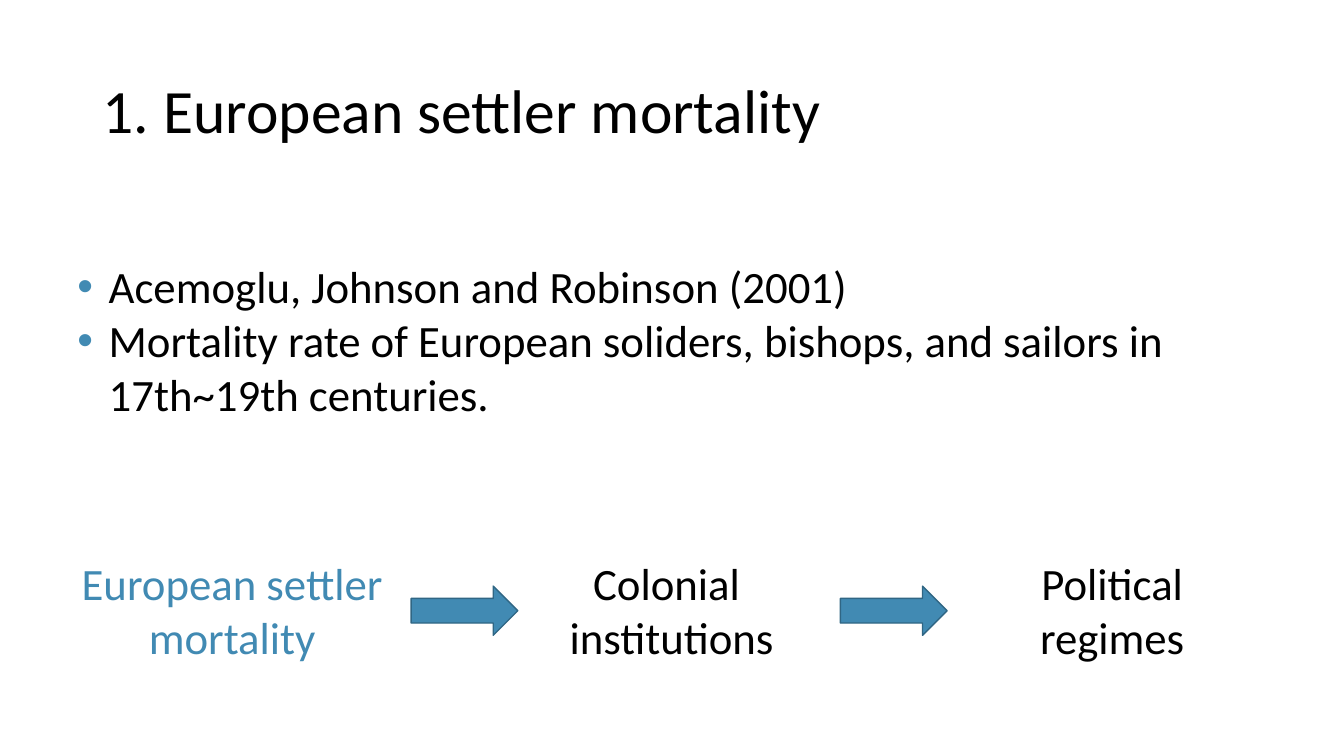
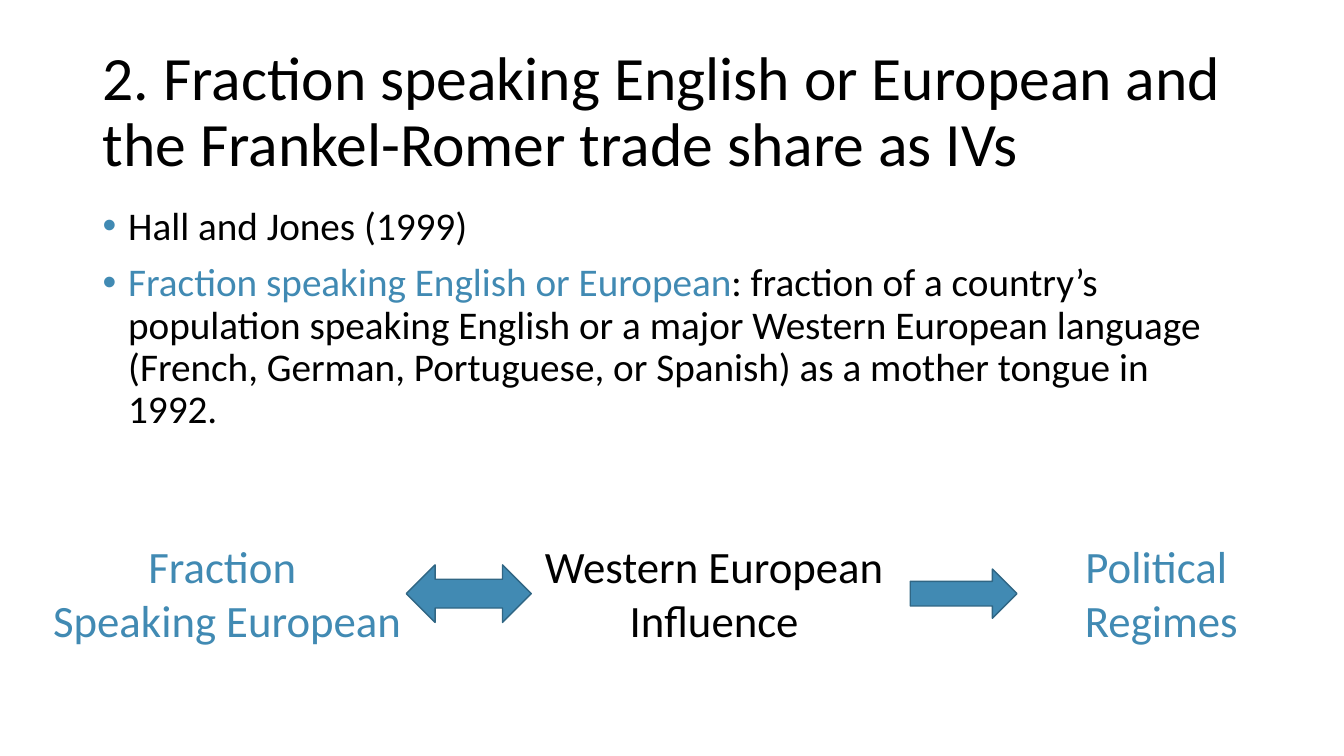
import lxml.etree
import pptx
import pptx.dml.color
import pptx.enum.shapes
import pptx.enum.text
import pptx.oxml.ns
import pptx.util

Cm = pptx.util.Cm
ALIGN = pptx.enum.text.PP_ALIGN
ANCHOR = pptx.enum.text.MSO_ANCHOR
SHAPE = pptx.enum.shapes.MSO_SHAPE
COLORS = {"text": "000000", "accent": "418AB3", "outline": "306684"}
FONT = "Calibri"
TITLE_BOX = (2.34, 1.02, 29.21, 3.68)
RIGHT_ARROW = (SHAPE.RIGHT_ARROW, 2.69, 1.24)
DOUBLE_ARROW = (SHAPE.LEFT_RIGHT_ARROW, 3.15, 1.45)


def color(name):
    """Return the palette colour of that name."""
    return pptx.dml.color.RGBColor.from_string(COLORS[name])


def add_bullet(paragraph, indent):
    """Give a paragraph an accent bullet with a hanging indent in cm."""
    properties = paragraph._p.get_or_add_pPr()
    properties.set("marL", str(Cm(indent)))
    properties.set("indent", str(-Cm(indent)))
    qn = pptx.oxml.ns.qn
    bullet_color = lxml.etree.SubElement(properties, qn("a:buClr"))
    lxml.etree.SubElement(bullet_color, qn("a:srgbClr"), val=COLORS["accent"])
    lxml.etree.SubElement(properties, qn("a:buFont"), typeface="Arial")
    lxml.etree.SubElement(properties, qn("a:buChar"), char="•")


def add_text(slide, box, paragraphs, *, size, fill="text", align=ALIGN.LEFT,
             anchor=ANCHOR.TOP, line_spacing=1.0, gap=0, indent=None):
    """Add a text box; a paragraph is a string or a list of (text, colour) runs."""
    shape = slide.shapes.add_textbox(*map(Cm, box))
    frame = shape.text_frame
    frame.word_wrap = True
    frame.vertical_anchor = anchor
    for index, content in enumerate(paragraphs):
        paragraph = frame.add_paragraph() if index else frame.paragraphs[0]
        if indent:
            add_bullet(paragraph, indent)
        paragraph.alignment = align
        paragraph.line_spacing = line_spacing
        paragraph.space_before = pptx.util.Pt(gap if index else 0)
        runs = [(content, fill)] if isinstance(content, str) else content
        for text, run_color in runs:
            run = paragraph.add_run()
            run.text = text
            run.font.name = FONT
            run.font.size = pptx.util.Pt(size)
            run.font.color.rgb = color(run_color)


def add_arrow(slide, left, middle, kind):
    """Add a block arrow centred vertically on a height."""
    preset, width, height = kind
    shape = slide.shapes.add_shape(
        preset, *map(Cm, (left, middle - height / 2, width, height)))
    shape.shadow.inherit = False
    shape.fill.solid()
    shape.fill.fore_color.rgb = color("accent")
    shape.line.color.rgb = color("outline")
    shape.line.width = pptx.util.Pt(1)


def add_chain(slide, box, labels, arrows):
    """Add a causal chain; offsets of labels and arrows run from the box's left."""
    left, top, height = box
    for offset, width, lines, fill in labels:
        add_text(slide, (left + offset, top, width, height), lines,
                 size=32, fill=fill, align=ALIGN.CENTER)
    for offset, kind in arrows:
        add_arrow(slide, left + offset, top + height / 2, kind)


def add_titled_slide(presentation, title):
    """Add a blank slide with the shared title style."""
    slide = presentation.slides.add_slide(presentation.slide_layouts[6])
    add_text(slide, TITLE_BOX, [title], size=44, anchor=ANCHOR.MIDDLE,
             line_spacing=0.9)
    return slide


def build_mortality_slide(presentation):
    """Build the slide on settler mortality."""
    slide = add_titled_slide(presentation, "1. European settler mortality")
    add_text(slide, (1.7, 6.4, 30.48, 5), [
        "Acemoglu, Johnson and Robinson (2001)",
        "Mortality rate of European soliders, bishops, and sailors in "
        "17th~19th centuries.",
    ], size=32, indent=0.79)
    add_chain(slide, (1.7, 13.89, 3), [
        (0, 8.31, ["European settler mortality"], "accent"),
        (10.01, 10.44, ["Colonial ", "institutions"], "text"),
        (21.11, 10.44, ["Political", "regimes"], "text"),
    ], [(8.66, RIGHT_ARROW), (19.48, RIGHT_ARROW)])


def build_language_slide(presentation):
    """Build the slide on language fractions."""
    slide = add_titled_slide(
        presentation, "2. Fraction speaking English or European and "
        "the Frankel-Romer trade share as IVs")
    add_text(slide, (2.34, 5.08, 29.21, 6.5), [
        "Hall and Jones (1999)",
        [("Fraction speaking English or European", "accent"),
         (": fraction of a country’s population speaking English or a major "
          "Western European language (French, German, Portuguese, or Spanish) "
          "as a mother tongue in 1992.", "text")],
    ], size=28, line_spacing=0.9, gap=10, indent=0.64)
    add_chain(slide, (0.51, 13.46, 3), [
        (0, 10.44, ["Fraction ", "Speaking European"], "accent"),
        (12.27, 10.44, ["Western European", "Influence"], "text"),
        (24.21, 9.1, ["Political ", "Regimes"], "accent"),
    ], [(9.73, DOUBLE_ARROW), (22.43, RIGHT_ARROW)])


def main():
    """Build and save the presentation."""
    presentation = pptx.Presentation()
    presentation.slide_width = Cm(33.87)
    presentation.slide_height = Cm(19.05)
    build_mortality_slide(presentation)
    build_language_slide(presentation)
    presentation.save("out.pptx")


if __name__ == "__main__":
    main()
